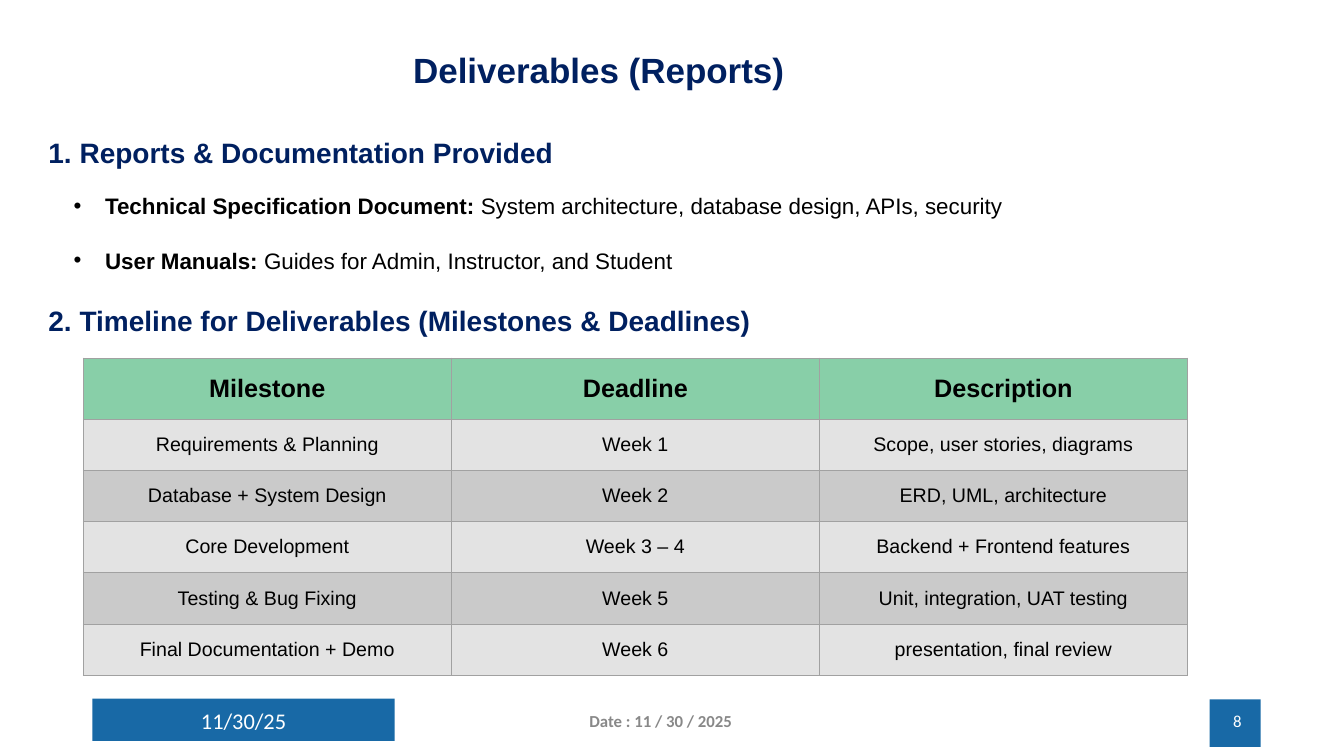
from lxml.etree import SubElement
from pptx import Presentation
from pptx.dml.color import RGBColor
from pptx.enum.shapes import MSO_SHAPE as Shape
from pptx.enum.text import MSO_ANCHOR as Anchor, PP_ALIGN as Align
from pptx.oxml import parse_xml
from pptx.oxml.ns import nsdecls, qn
from pptx.util import Pt

NAVY = RGBColor(0x00, 0x20, 0x60)
BLUE = RGBColor(0x18, 0x69, 0xA6)
GREEN = RGBColor(0x88, 0xCF, 0xA8)
LIGHT = RGBColor(0xE3, 0xE3, 0xE3)
DARK = RGBColor(0xCA, 0xCA, 0xCA)
EDGE = RGBColor(0xA1, 0xA1, 0xA1)
GREY = RGBColor(0x88, 0x88, 0x88)
BLACK = RGBColor(0, 0, 0)
WHITE = RGBColor(255, 255, 255)

REPORTS = [
    ("Technical Specification Document: ",
     "System architecture, database design, APIs, security"),
    ("User Manuals: ", "Guides for Admin, Instructor, and Student"),
]
ROWS = [
    ("Milestone", "Deadline", "Description"),
    ("Requirements & Planning", "Week 1", "Scope, user stories, diagrams"),
    ("Database + System Design", "Week 2", "ERD, UML, architecture"),
    ("Core Development", "Week 3 – 4", "Backend + Frontend features"),
    ("Testing & Bug Fixing", "Week 5", "Unit, integration, UAT testing"),
    ("Final Documentation + Demo", "Week 6", "presentation, final review"),
]


def style(run, size, color, bold=False, face="Arial"):
    font = run.font
    font.name, font.size, font.bold = face, Pt(size), bold
    font.color.rgb = color


def add_box(slide, left, top, width, height):
    frame = slide.shapes.add_textbox(
        Pt(left), Pt(top), Pt(width), Pt(height)).text_frame
    frame.word_wrap = True
    return frame


def add_head(slide, text, left, top, width, height, size):
    frame = add_box(slide, left, top, width, height)
    frame.text = text
    style(frame.paragraphs[0].runs[0], size, NAVY, True)
    return frame.paragraphs[0]


def add_foot(slide, text, left, width, align, size, color, bold=False):
    frame = add_box(slide, left, 500.4, width, 28.8)
    frame.vertical_anchor = Anchor.MIDDLE
    frame.text = text
    para = frame.paragraphs[0]
    para.alignment = align
    style(para.runs[0], size, color, bold, "Calibri")


def add_block(slide, left, top, width, height):
    block = slide.shapes.add_shape(
        Shape.RECTANGLE, Pt(left), Pt(top), Pt(width), Pt(height))
    block.shadow.inherit = False
    block.fill.solid()
    block.fill.fore_color.rgb = BLUE
    block.line.fill.background()


def add_list(slide, items, left, top, width, height):
    frame = add_box(slide, left, top, width, height)
    for i, (label, text) in enumerate(items):
        para = frame.add_paragraph() if i else frame.paragraphs[0]
        props = para._p.get_or_add_pPr()
        props.set("marL", str(Pt(22.5)))
        props.set("indent", str(-Pt(22.5)))
        if i:
            para.space_before = Pt(19.5)
        SubElement(props, qn("a:buFont"), typeface="Arial")
        SubElement(props, qn("a:buChar"), char="•")
        for part, bold in ((label, True), (text, False)):
            run = para.add_run()
            run.text = part
            style(run, 16, BLACK, bold)


def add_edges(cell):
    props = cell._tc.get_or_add_tcPr()
    for i, side in enumerate("LRTB"):
        props.insert(i, parse_xml(
            f'<a:ln{side} {nsdecls("a")} w="{Pt(0.75)}"><a:solidFill>'
            f'<a:srgbClr val="{EDGE}"/></a:solidFill></a:ln{side}>'))


def add_grid(slide, rows, left, top, wide, first, rest):
    cols = len(rows[0])
    high = first + rest * (len(rows) - 1)
    table = slide.shapes.add_table(
        len(rows), cols, Pt(left), Pt(top), Pt(wide * cols), Pt(high)).table
    for col in table.columns:
        col.width = Pt(wide)
    for r, row in enumerate(rows):
        head = r == 0
        table.rows[r].height = Pt(first if head else rest)
        shade = GREEN if head else LIGHT if r % 2 else DARK
        for c, text in enumerate(row):
            cell = table.cell(r, c)
            cell.text = text
            cell.vertical_anchor = Anchor.MIDDLE
            cell.fill.solid()
            cell.fill.fore_color.rgb = shade
            add_edges(cell)
            para = cell.text_frame.paragraphs[0]
            para.alignment = Align.CENTER
            style(para.runs[0], 18 if head else 14, BLACK, head)


def main():
    deck = Presentation()
    deck.slide_width, deck.slide_height = Pt(960), Pt(540)
    slide = deck.slides.add_slide(deck.slide_layouts[6])
    add_block(slide, 66, 499, 216, 30.2)
    add_block(slide, 864, 499.5, 36.5, 34)
    add_foot(slide, "11/30/25", 66, 216, Align.CENTER, 16, WHITE)
    add_foot(slide, "Date : 11 / 30 / 2025", 304, 336,
             Align.CENTER, 12, GREY, True)
    add_foot(slide, "8", 678, 216, Align.RIGHT, 12, WHITE)
    title = add_head(slide, "Deliverables (Reports)", 288, 34.5, 292, 34.5, 25)
    title.line_spacing = 0.9
    add_head(slide, "1. Reports & Documentation Provided",
             27.5, 93, 906.5, 31.5, 20)
    add_list(slide, REPORTS, 45.5, 134, 803, 85)
    add_head(slide, "2. Timeline for Deliverables (Milestones & Deadlines)",
             27.5, 213, 906.5, 31.5, 20)
    add_grid(slide, ROWS, 59.5, 255.7, 262.9, 43.6, 36.6)
    deck.save("out.pptx")


if __name__ == "__main__":
    main()
